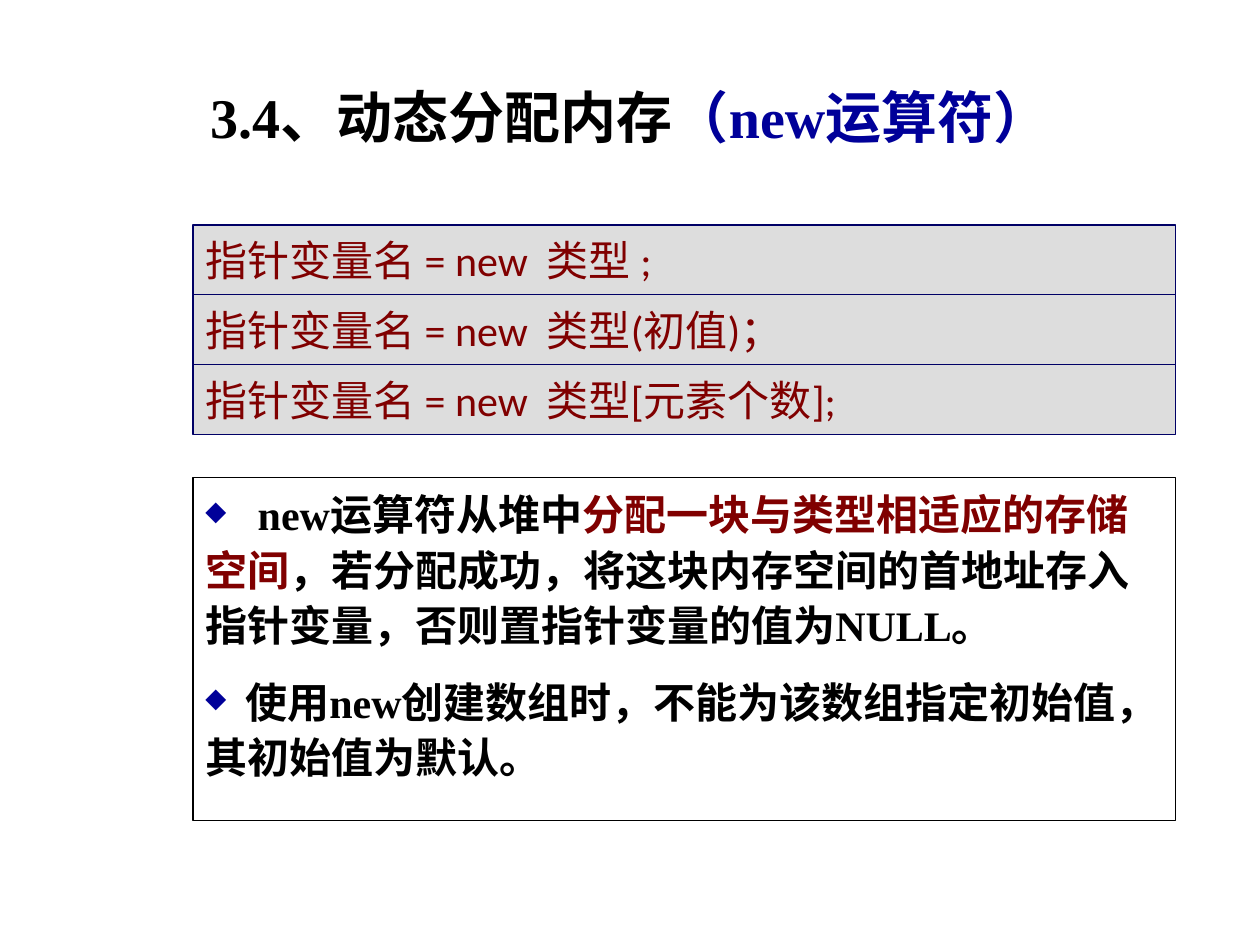
from pptx import Presentation
from pptx.dml.color import RGBColor
from pptx.enum.shapes import MSO_SHAPE
from pptx.enum.text import MSO_ANCHOR, PP_ALIGN
from pptx.util import Cm, Pt
from lxml.etree import SubElement
from pptx.oxml.ns import qn

THEME = {
    "black": RGBColor(0x00, 0x00, 0x00),
    "blue": RGBColor(0x00, 0x00, 0x99),
    "navy": RGBColor(0x00, 0x00, 0x66),
    "maroon": RGBColor(0x80, 0x00, 0x00),
    "gray": RGBColor(0xDD, 0xDD, 0xDD),
    "title_size": Pt(32),
    "text_size": Pt(24),
    "serif": "Times New Roman",
    "sans": "Calibri",
}


def add_run(p, text, color, size="text_size", font="serif", bold=True):
    r = p.add_run()
    r.text = text
    r.font.name = THEME[font]
    r.font.size = THEME[size]
    r.font.bold = bold
    r.font.color.rgb = THEME[color]


def add_bullet(p, char, color, percent):
    pPr = p._p.get_or_add_pPr()
    pPr.set("marL", "0")
    pPr.set("indent", "0")
    buClr = SubElement(pPr, qn("a:buClr"))
    SubElement(buClr, qn("a:srgbClr"), val=str(THEME[color]))
    SubElement(pPr, qn("a:buSzPct"), val=str(percent * 1000))
    SubElement(pPr, qn("a:buChar"), char=char)


prs = Presentation()
prs.slide_width, prs.slide_height = Cm(25.4), Cm(19.05)
s = prs.slides.add_slide(prs.slide_layouts[5])

# Title
title = s.shapes.title
title.left, title.top, title.width, title.height = Cm(1.27), Cm(0.76), Cm(22.86), Cm(3.18)
tf = title.text_frame
tf.vertical_anchor = MSO_ANCHOR.MIDDLE
p = tf.paragraphs[0]
p.alignment = PP_ALIGN.CENTER
add_run(p, "3.4、动态分配内存", "black", "title_size")
add_run(p, "（new运算符）", "blue", "title_size")

# Syntax forms, stacked edge to edge
left, width = Cm(3.89), Cm(19.81)
forms_top, form_height = Cm(4.53), Cm(1.41)
forms = ["类型 ;", "类型(初值)；", "类型[元素个数];"]
for i, form in enumerate(forms):
    sp = s.shapes.add_shape(MSO_SHAPE.RECTANGLE, left, forms_top + i * form_height,
                            width, form_height)
    sp.shadow.inherit = False
    sp.fill.solid()
    sp.fill.fore_color.rgb = THEME["gray"]
    sp.line.color.rgb = THEME["navy"]
    sp.line.width = Pt(1)
    tf = sp.text_frame
    tf.vertical_anchor = MSO_ANCHOR.MIDDLE
    p = tf.paragraphs[0]
    p.alignment = PP_ALIGN.LEFT
    add_run(p, "指针变量名 = new  " + form, "maroon", font="sans", bold=False)

# Explanation box
notes = [
    [("   new运算符从堆中", "black"),
     ("分配一块与类型相适应的存储空间", "maroon"),
     ("，若分配成功，将这块内存空间的首地址存入指针变量，否则置指针变量的值为NULL。", "black")],
    [("  使用new创建数组时，不能为该数组指定初始值，其初始值为默认。", "black")],
]
box = s.shapes.add_textbox(left, Cm(9.63), width, Cm(6.91))
box.line.color.rgb = THEME["black"]
box.line.width = Pt(0.75)
tf = box.text_frame
tf.word_wrap = True
for i, note in enumerate(notes):
    p = tf.add_paragraph() if i else tf.paragraphs[0]
    p.line_spacing = 1.1
    p.space_after = Pt(12)
    add_bullet(p, "◆", "blue", 65)
    for text, color in note:
        add_run(p, text, color)

prs.save("out.pptx")
